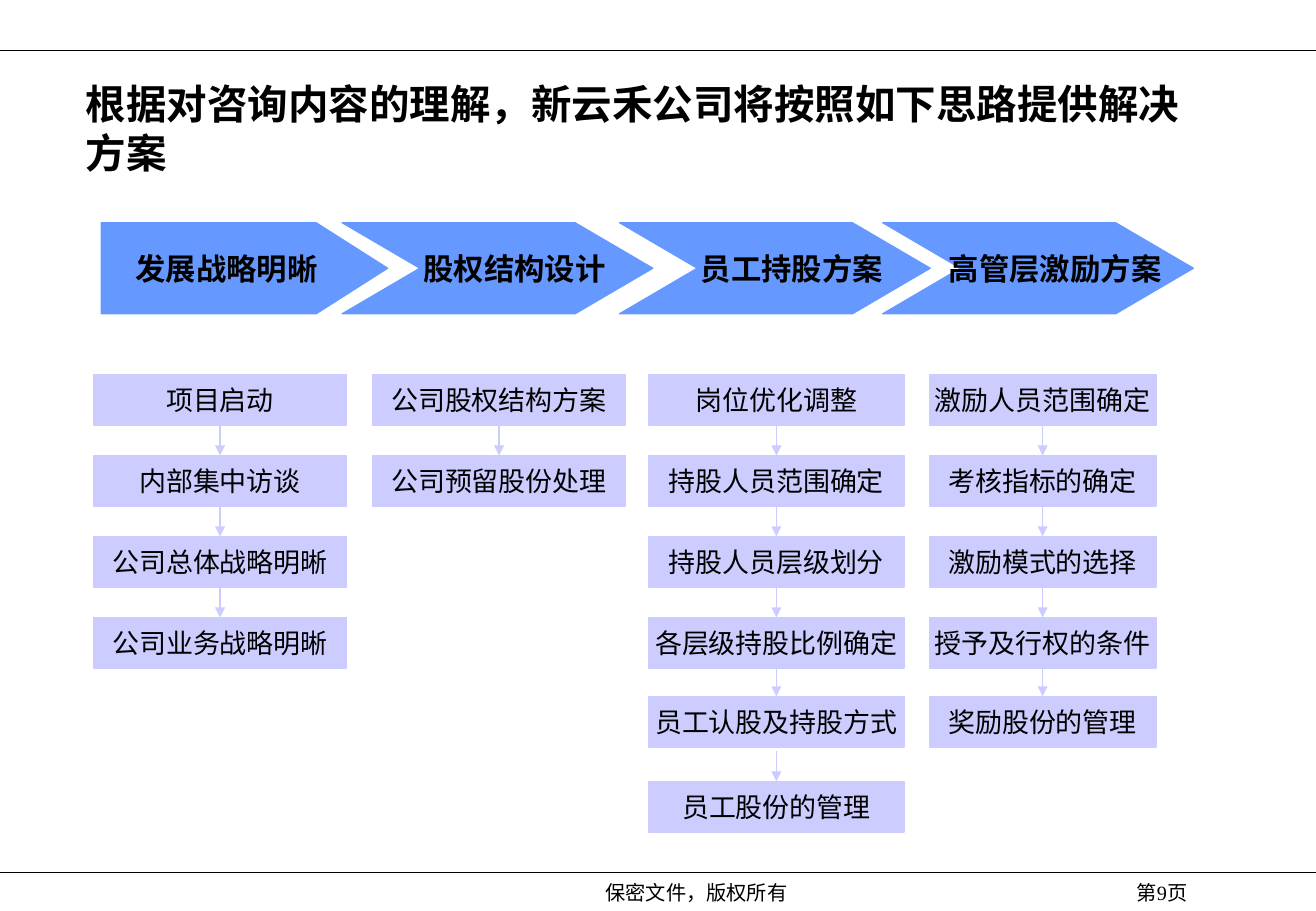
from lxml import etree
from pptx import Presentation
from pptx import util as u
from pptx.dml.color import RGBColor
from pptx.enum import shapes, text
from pptx.oxml.ns import qn

BLACK = RGBColor(0x00, 0x00, 0x00)
BLUE = RGBColor(0x66, 0x99, 0xFF)
LILAC = RGBColor(0xCC, 0xCC, 0xFF)
SANS = "Noto Sans CJK SC"
SERIF = "Times New Roman"
COLS, ROWS = 130, 90
CELL = u.Inches(7.5) // ROWS

STAGES = [
    ("发展战略明晰", (10, 28.3), (9.24, 25),
     ["项目启动", "内部集中访谈", "公司总体战略明晰", "公司业务战略明晰"]),
    ("股权结构设计", (33.8, 30.7), (36.8, 25),
     ["公司股权结构方案", "公司预留股份处理"]),
    ("员工持股方案", (61.2, 30.7), (64.1, 25.2),
     ["岗位优化调整", "持股人员范围确定", "持股人员层级划分",
      "各层级持股比例确定", "员工认股及持股方式", "员工股份的管理"]),
    ("高管层激励方案", (87.2, 30.7), (91.8, 22.4),
     ["激励人员范围确定", "考核指标的确定", "激励模式的选择",
      "授予及行权的条件", "奖励股份的管理"]),
]
TOPS = [37, 45, 53, 61, 68.8, 77.2]
STEP, GAP = 5, 3


def grid(*vals):
    return [round(v * CELL) for v in vals]


def write(shape, words, size, font=SANS, bold=False, wrap=False,
          align=text.PP_ALIGN.CENTER, anchor=text.MSO_ANCHOR.MIDDLE, left=0.1):
    frame = shape.text_frame
    frame.word_wrap = wrap
    frame.vertical_anchor = anchor
    frame.margin_left = u.Inches(left)
    para = frame.paragraphs[0]
    para.alignment = align
    run = para.add_run()
    run.text = words
    run.font.size = u.Pt(size)
    run.font.bold = bold
    run.font.color.rgb = BLACK
    run.font.name = font
    etree.SubElement(run.font._element, qn("a:ea"), typeface=SANS)


def label(slide, box, words, size, **form):
    write(slide.shapes.add_textbox(*grid(*box)), words, size,
          font=SERIF, wrap=True, **form)


def block(slide, kind, box, color):
    shape = slide.shapes.add_shape(kind, *grid(*box))
    shape.shadow.inherit = False
    shape.fill.solid()
    shape.fill.fore_color.rgb = color
    shape.line.color.rgb = color
    shape.line.width = u.Pt(0.75)
    return shape


def line(slide, ends, color, head=False):
    link = slide.shapes.add_connector(shapes.MSO_CONNECTOR.STRAIGHT, *grid(*ends))
    link.line.color.rgb = color
    link.line.width = u.Pt(0.75)
    if head:
        etree.SubElement(link.line._get_or_add_ln(), qn("a:tailEnd"), type="triangle")
    etree.SubElement(link._element.spPr, qn("a:effectLst"))


def stage(slide, box, words, first):
    kind = shapes.MSO_SHAPE.PENTAGON if first else shapes.MSO_SHAPE.CHEVRON
    shape = block(slide, kind, box, BLUE)
    shape.adjustments[0] = 0.785 if first else 0.854
    write(shape, words, 18, bold=True, left=0.1 if first else 0.38)


def chain(slide, left, width, steps):
    mid = left + width / 2
    for num, (top, words) in enumerate(zip(TOPS, steps)):
        shape = block(slide, shapes.MSO_SHAPE.RECTANGLE, (left, top, width, STEP), LILAC)
        write(shape, words, 16)
        if num:
            line(slide, (mid, top - GAP, mid, top), LILAC, head=True)


def margins(slide):
    for row in (5, 86.2):
        line(slide, (0, row, COLS, row), BLACK)
    top = text.MSO_ANCHOR.TOP
    label(slide, (33.6, 86.4, 70.4, 3.6), "保密文件，版权所有", 12, anchor=top)
    label(slide, (105.1, 86.4, 19.4, 3.6), "第9页", 12, anchor=top)


def main():
    deck = Presentation()
    deck.slide_width, deck.slide_height = grid(COLS, ROWS)
    slide = deck.slides.add_slide(deck.slide_layouts[6])
    margins(slide)
    label(slide, (7.3, 7.6, 110.5, 10),
          "根据对咨询内容的理解，新云禾公司将按照如下思路提供解决方案",
          24, bold=True, align=text.PP_ALIGN.LEFT)
    for num, (name, (left, width), col, steps) in enumerate(STAGES):
        stage(slide, (left, 22, width, 9), name, num == 0)
        chain(slide, *col, steps)
    deck.save("out.pptx")


if __name__ == "__main__":
    main()
